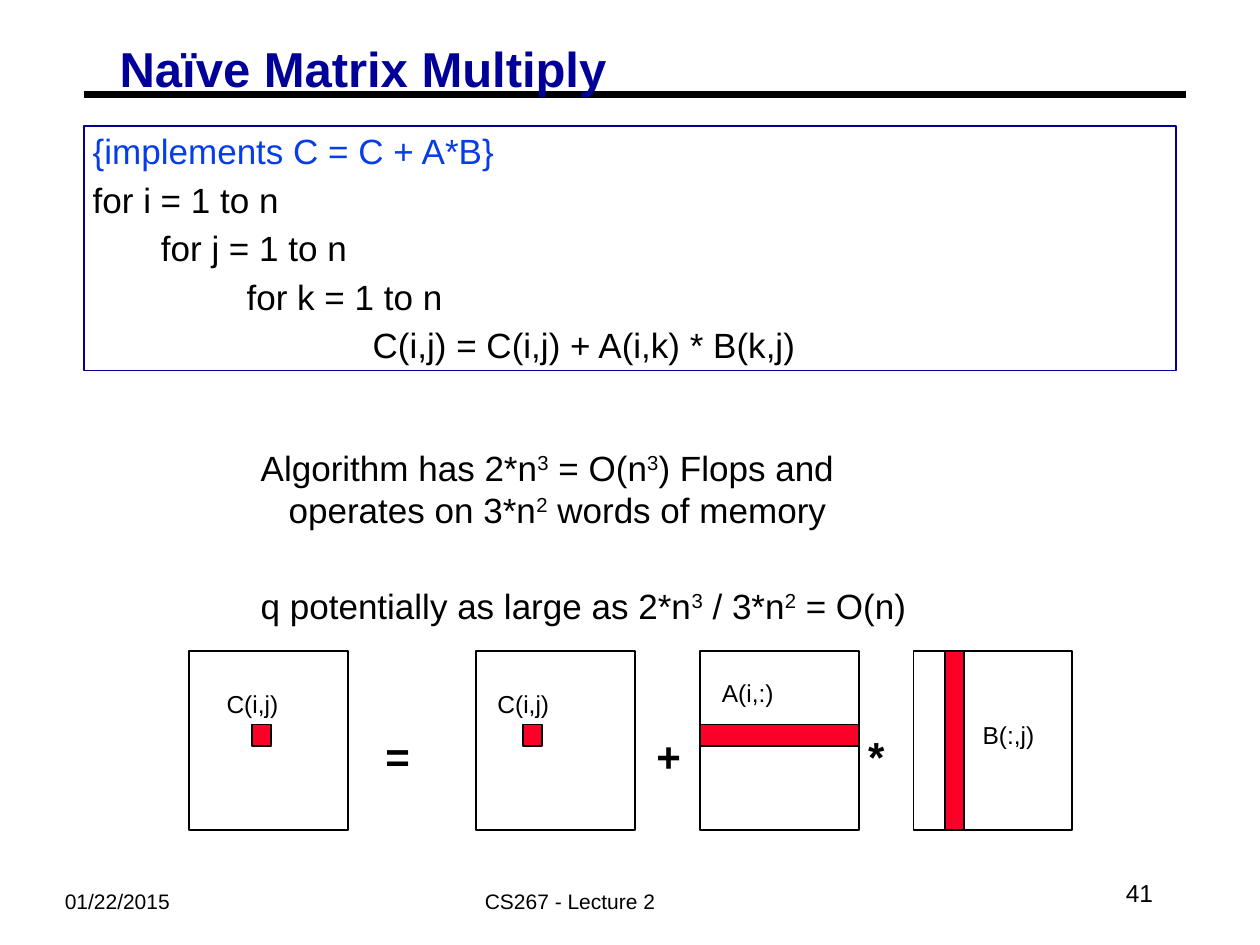
import pptx
import pptx.dml.color
import pptx.enum.shapes
import pptx.enum.text
import pptx.oxml.ns
import pptx.util
from lxml import etree

Pt = pptx.util.Pt
ALIGN = pptx.enum.text.PP_ALIGN
ANCHOR = pptx.enum.text.MSO_ANCHOR
COLORS = {"black": "000000", "navy": "000099", "blue": "063DE8", "red": "FC0128"}

deck = pptx.Presentation()
deck.slide_width, deck.slide_height = Pt(720), Pt(540)
page = deck.slides.add_slide(deck.slide_layouts[6])


def rgb(name):
    return pptx.dml.color.RGBColor.from_string(COLORS[name])


def add_text(place, lines, size, color="black", bold=False, inset=(7.2, 3.6)):
    """Add a text box; each line is a list of (text, baseline percent) spans."""
    box = page.shapes.add_textbox(*map(Pt, place))
    frame = box.text_frame
    frame.word_wrap = True
    frame.margin_left = frame.margin_right = Pt(inset[0])
    frame.margin_top = frame.margin_bottom = Pt(inset[1])
    for index, line in enumerate(lines):
        para = frame.add_paragraph() if index else frame.paragraphs[0]
        for text, baseline in line:
            span = para.add_run()
            span.text = text
            span.font.name = "Arial"
            span.font.size = Pt(size)
            span.font.bold = bold
            span.font.color.rgb = rgb(color)
            if baseline:
                span.font._element.set("baseline", str(baseline * 1000))
    return box


def add_box(place, fill=None):
    shape = page.shapes.add_shape(pptx.enum.shapes.MSO_SHAPE.RECTANGLE, *map(Pt, place))
    shape.shadow.inherit = False
    if fill:
        shape.fill.solid()
        shape.fill.fore_color.rgb = rgb(fill)
    else:
        shape.fill.background()
    shape.line.color.rgb = rgb("black")
    shape.line.width = Pt(1)


# Title and rule
rule = page.shapes.add_connector(
    pptx.enum.shapes.MSO_CONNECTOR.STRAIGHT, Pt(48), Pt(54), Pt(678), Pt(54))
rule.line.color.rgb = rgb("black")
rule.line.width = Pt(3.75)
etree.SubElement(rule._element.spPr, pptx.oxml.ns.qn("a:effectLst"))
title = add_text((63.4, 24.5, 293, 34.6), [[("Naïve Matrix Multiply", 0)]], 28,
                 "navy", bold=True, inset=(5, 2.2))
title.text_frame.paragraphs[0].line_spacing = 0.87

# Footer
add_text((30, 504, 138, 44), [[("01/22/2015", 0)]], 12)
add_text((270, 504, 138, 22), [[("CS267 - Lecture 2", 0)]], 12)
number = add_text((516, 492, 150, 36), [[("41", 0)]], 14)
number.text_frame.vertical_anchor = ANCHOR.MIDDLE
number.text_frame.paragraphs[0].alignment = ALIGN.RIGHT

# Pseudocode, indented by loop depth
code = [
    ("{implements C = C + A*B}", 0),
    ("for i = 1 to n", 0),
    ("for j = 1 to n", 39),
    ("for k = 1 to n", 88),
    ("C(i,j) = C(i,j) + A(i,k) * B(k,j)", 160),
]
listing = add_text((48, 72, 624, 139.7), [[(text, 0)] for text, _ in code], 20,
                   inset=(5, 2.2))
listing.line.color.rgb = rgb("navy")
listing.line.width = Pt(0.75)
for para, (_, indent) in zip(listing.text_frame.paragraphs, code):
    para.space_before = Pt(3.7)
    para._p.get_or_add_pPr().set("marL", str(Pt(indent)))
listing.text_frame.paragraphs[0].runs[0].font.color.rgb = rgb("blue")

# Cost analysis
analysis = add_text((144, 252.7, 396, 107.3), [
    [("Algorithm has 2*n", 0), ("3", 30), (" = O(n", 0), ("3", 30),
     (") Flops and operates on 3*n", 0), ("2", 30), (" words of memory", 0)],
    [("q potentially as large as 2*n", 0), ("3", 30), (" / 3*n", 0), ("2", 30),
     (" = O(n)", 0)],
], 20, inset=(5, 2.2))
for para in analysis.text_frame.paragraphs:
    properties = para._p.get_or_add_pPr()
    properties.set("marL", str(Pt(16)))
    properties.set("indent", str(-Pt(16)))
analysis.text_frame.paragraphs[1].space_before = Pt(31)

# Matrices: left edge, red part, label and label position
top, width, height = 372, 90.7, 102.2
cell_top, cell_width, cell_height = 414, 10.8, 12.2
matrices = [
    (108, (144, cell_top, cell_width, cell_height), "C(i,j)", (122.4, 390)),
    (272, (298.8, cell_top, cell_width, cell_height), "C(i,j)", (277.2, 390)),
    (400, (400, cell_top, width, cell_height), "A(i,:)", (405.4, 384)),
    (522, (540, top, cell_width, height), "B(:,j)", (554.4, 408)),
]
for left, part, label, position in matrices:
    add_box((left, top, width, height))
    add_box(part, "red")
    add_text((*position, 53.3, 24.5), [[(label, 0)]], 14)

for left, symbol, symbol_width in [(213.1, "=", 42.5), (368, "+", 21.6), (489, "*", 21.6)]:
    add_text((left, cell_top, symbol_width, 36), [[(symbol, 0)]], 24, bold=True)

deck.save("out.pptx")
